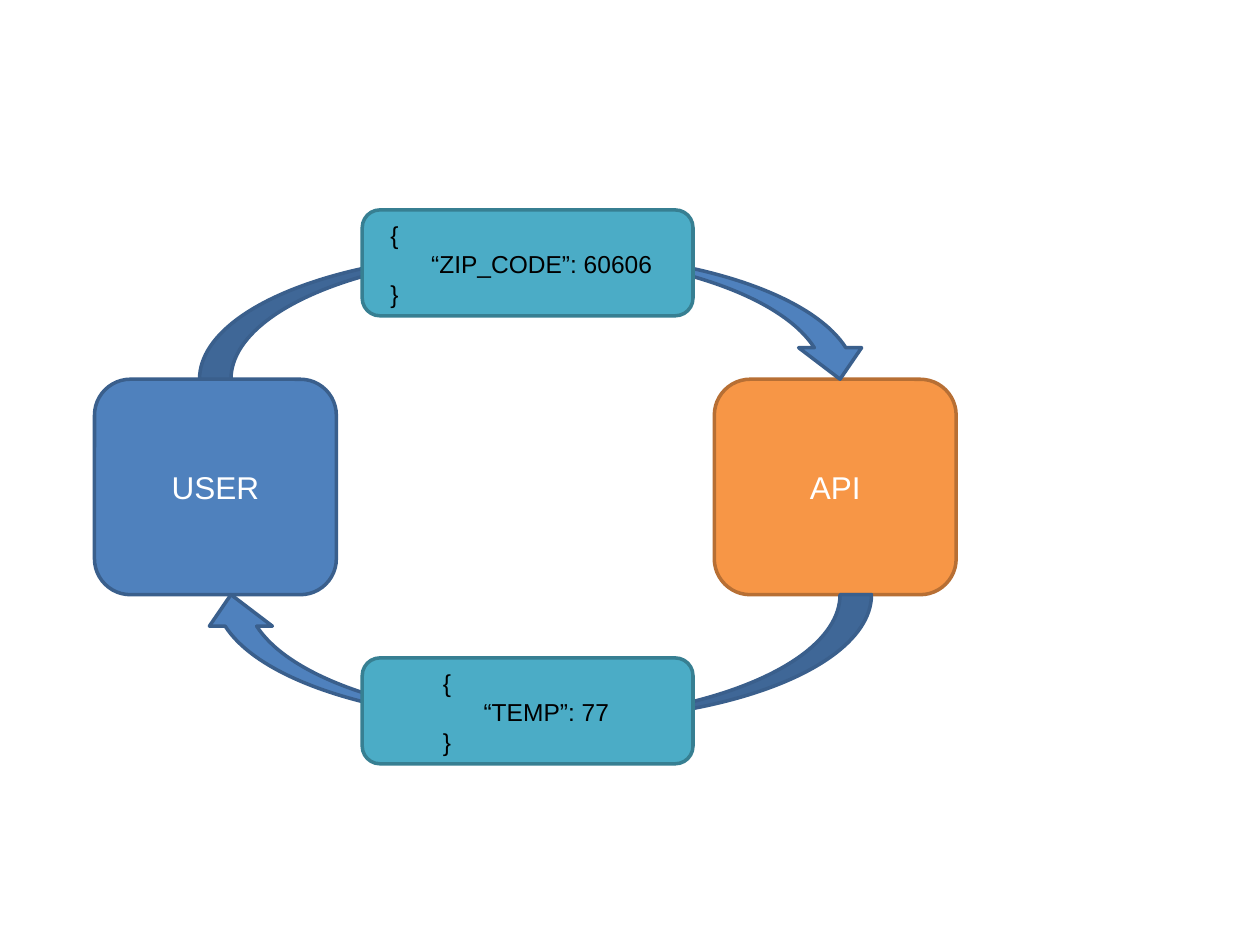
from pptx import Presentation
from pptx.dml.color import RGBColor
from pptx.enum.shapes import MSO_SHAPE
from pptx.enum.text import MSO_ANCHOR, MSO_AUTO_SIZE, PP_ALIGN
from pptx.util import Pt

ROUNDED = MSO_SHAPE.ROUNDED_RECTANGLE
CURVED_ARROW = MSO_SHAPE.CURVED_DOWN_ARROW
MIDDLE = MSO_ANCHOR.MIDDLE
CENTER = PP_ALIGN.CENTER
FIT_SHAPE = MSO_AUTO_SIZE.SHAPE_TO_FIT_TEXT

BLUE, BLUE_EDGE = RGBColor(0x4F, 0x81, 0xBD), RGBColor(0x3A, 0x5F, 0x8C)
ORANGE, ORANGE_EDGE = RGBColor(0xF7, 0x96, 0x46), RGBColor(0xB7, 0x6F, 0x34)
TEAL, TEAL_EDGE = RGBColor(0x4B, 0xAC, 0xC6), RGBColor(0x37, 0x7F, 0x92)
WHITE, BLACK = RGBColor(0xFF, 0xFF, 0xFF), RGBColor(0, 0, 0)


def set_format(target, values):
    """Set each named attribute of the target."""
    for name, value in values.items():
        setattr(target, name, value)


def write(paragraph, text, size, color):
    """Write one run of text in the slide font."""
    run = paragraph.add_run()
    run.text = text
    set_format(run.font, {"name": "Arial", "size": Pt(size)})
    run.font.color.rgb = color


def add_block(slide, preset, box, fill, edge):
    """Place a filled and outlined preset shape in the box."""
    block = slide.shapes.add_shape(preset, *map(Pt, box))
    block.shadow.inherit = False
    block.fill.solid()
    block.fill.fore_color.rgb = fill
    block.line.color.rgb = edge
    block.line.width = Pt(2)
    return block


def add_party(slide, box, label, fill, edge):
    """Place one side of the exchange with its centred label."""
    party = add_block(slide, ROUNDED, box, fill, edge)
    party.text_frame.vertical_anchor = MIDDLE
    paragraph = party.text_frame.paragraphs[0]
    paragraph.alignment = CENTER
    write(paragraph, label, 18, WHITE)


def add_message(slide, box, field, inset):
    """Place a JSON message whose text starts at the inset from the box."""
    left, top, width, height = box
    add_block(slide, ROUNDED, box, TEAL, TEAL_EDGE)
    json_text = slide.shapes.add_textbox(
        Pt(left + inset), Pt(top + 2.2), Pt(246), Pt(58.2))
    frame = json_text.text_frame
    set_format(frame, {"word_wrap": True, "auto_size": FIT_SHAPE})
    for index, (line, indent) in enumerate([("{", 0), (field, 23.3), ("}", 0)]):
        paragraph = frame.add_paragraph() if index else frame.paragraphs[0]
        paragraph._p.get_or_add_pPr().set("marL", str(int(Pt(indent))))
        write(paragraph, line, 14, BLACK)


def add_exchange(slide, box):
    """Place the request and response loop between the two parties."""
    left, top, width, height = box
    party_width, party_height, arrow_height = 138.2, 123.1, 72
    party_top = top + (height - party_height) / 2
    add_party(slide, (left, party_top, party_width, party_height),
              "USER", BLUE, BLUE_EDGE)
    add_party(slide, (left + width - party_width, party_top, party_width, party_height),
              "API", ORANGE, ORANGE_EDGE)

    for arrow_top, rotation in ((party_top - arrow_height, 0),
                                (party_top + party_height, 180)):
        arrow = add_block(slide, CURVED_ARROW,
                          (left + 60, arrow_top, 384, arrow_height),
                          BLUE, BLUE_EDGE)
        arrow.rotation = rotation

    message_height = 60.5
    for message_top, field, inset in (
            (top, "“ZIP_CODE”: 60606", 9),
            (top + height - message_height, "“TEMP”: 77", 39)):
        add_message(slide, (left + 153, message_top, 189, message_height),
                    field, inset)


presentation = Presentation()
set_format(presentation, {"slide_width": Pt(720), "slide_height": Pt(540)})
api_slide = presentation.slides.add_slide(presentation.slide_layouts[6])
add_exchange(api_slide, (54, 120, 492.4, 316.5))
presentation.save("out.pptx")
